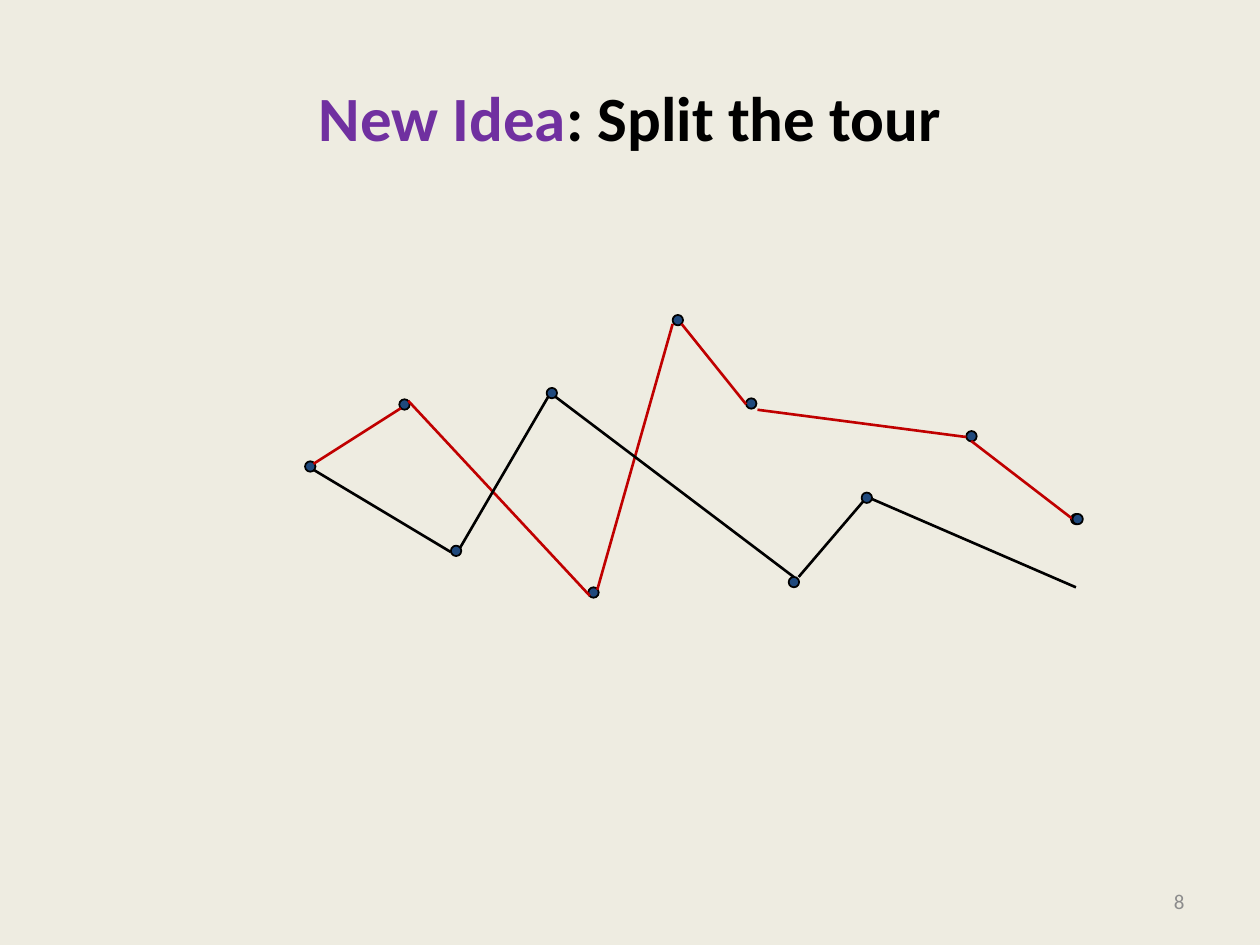
from dataclasses import dataclass

from lxml.etree import SubElement
from pptx import Presentation
from pptx.dml.color import RGBColor as Rgb
from pptx.enum.shapes import MSO_CONNECTOR as Connector, MSO_SHAPE as Shape
from pptx.enum.text import MSO_ANCHOR as Anchor, PP_ALIGN as Align
from pptx.oxml.ns import qn
from pptx.util import Cm, Pt


@dataclass(frozen=True)
class Theme:
    font: str = "Calibri"
    background: str = "EEECE1"
    ink: str = "000000"
    accent: str = "7030A0"
    muted: str = "8C8C8C"
    city: str = "1F497D"
    red_path: str = "C00000"
    black_path: str = "000000"
    title_size: int = 36
    number_size: int = 12
    outline: float = 1
    edge: float = 1.5
    city_size: float = 0.21


# Top-left corners of the city dots, in cm
CITIES = [
    (6.15, 9.3), (15.04, 8.03), (11.02, 7.82), (9.09, 11), (11.86, 11.84),
    (8.05, 8.05), (13.56, 6.35), (17.37, 9.93), (15.9, 11.63), (19.48, 8.69),
    (21.59, 10.36),
]
LAST_CITY = (21.62, 10.36)

# Edges as start x, start y, end x, end y, in cm
RED_EDGES = [
    (15.27, 8.26, 19.48, 8.81),
    (13.74, 6.53, 15.04, 8.15),
    (13.56, 6.53, 12.04, 11.89),
    (11.89, 12.01, 8.23, 8.08),
    (8.08, 8.23, 6.32, 9.35),
    (19.58, 8.89, 21.62, 10.46),
]
BLACK_EDGES = [
    (9.09, 11.13, 6.32, 9.47),
    (9.27, 11.05, 11.05, 8),
    (16, 11.63, 11.2, 8),
    (16.1, 11.63, 17.4, 10.11),
    (17.58, 10.06, 21.69, 11.84),
]


class TourSlide:
    def __init__(self, slide, theme):
        self.slide = slide
        self.theme = theme
        fill = slide.background.fill
        fill.solid()
        fill.fore_color.rgb = Rgb.from_string(theme.background)

    def style_run(self, run, size, color, bold=False):
        run.font.name = self.theme.font
        run.font.size = Pt(size)
        run.font.bold = bold
        run.font.color.rgb = Rgb.from_string(color)

    def title(self, lead, rest):
        """Write the title with its lead words in the accent colour."""
        title = self.slide.shapes.title
        title.left, title.top = Cm(1.27), Cm(0.76)
        title.width, title.height = Cm(22.86), Cm(3.18)
        title.text_frame.vertical_anchor = Anchor.MIDDLE
        paragraph = title.text_frame.paragraphs[0]
        paragraph.alignment = Align.CENTER
        for words, color in ((lead, self.theme.accent), (rest, self.theme.ink)):
            run = paragraph.add_run()
            run.text = words
            self.style_run(run, self.theme.title_size, color, bold=True)

    def page_number(self, number):
        frame = self.slide.shapes.add_textbox(
            Cm(18.21), Cm(17.65), Cm(5.92), Cm(1.02)).text_frame
        frame.word_wrap = True
        frame.vertical_anchor = Anchor.MIDDLE
        frame.text = number
        paragraph = frame.paragraphs[0]
        paragraph.alignment = Align.RIGHT
        self.style_run(paragraph.runs[0], self.theme.number_size, self.theme.muted)

    def city(self, left, top):
        size = Cm(self.theme.city_size)
        dot = self.slide.shapes.add_shape(Shape.OVAL, Cm(left), Cm(top), size, size)
        dot.shadow.inherit = False
        dot.fill.solid()
        dot.fill.fore_color.rgb = Rgb.from_string(self.theme.city)
        dot.line.color.rgb = Rgb.from_string(self.theme.ink)
        dot.line.width = Pt(self.theme.outline)

    def edge(self, ends, color):
        edge = self.slide.shapes.add_connector(Connector.STRAIGHT, *map(Cm, ends))
        edge.line.color.rgb = Rgb.from_string(color)
        edge.line.width = Pt(self.theme.edge)
        SubElement(edge._element.spPr, qn("a:effectLst"))


def main():
    deck = Presentation()
    deck.slide_width, deck.slide_height = Cm(25.4), Cm(19.05)
    theme = Theme()
    tour = TourSlide(deck.slides.add_slide(deck.slide_layouts[5]), theme)

    tour.title("New Idea", ": Split the tour")
    tour.page_number("8")
    for corner in CITIES:
        tour.city(*corner)
    for edges, color in ((RED_EDGES, theme.red_path), (BLACK_EDGES, theme.black_path)):
        for ends in edges:
            tour.edge(ends, color)
    tour.city(*LAST_CITY)

    deck.save("out.pptx")


if __name__ == "__main__":
    main()
